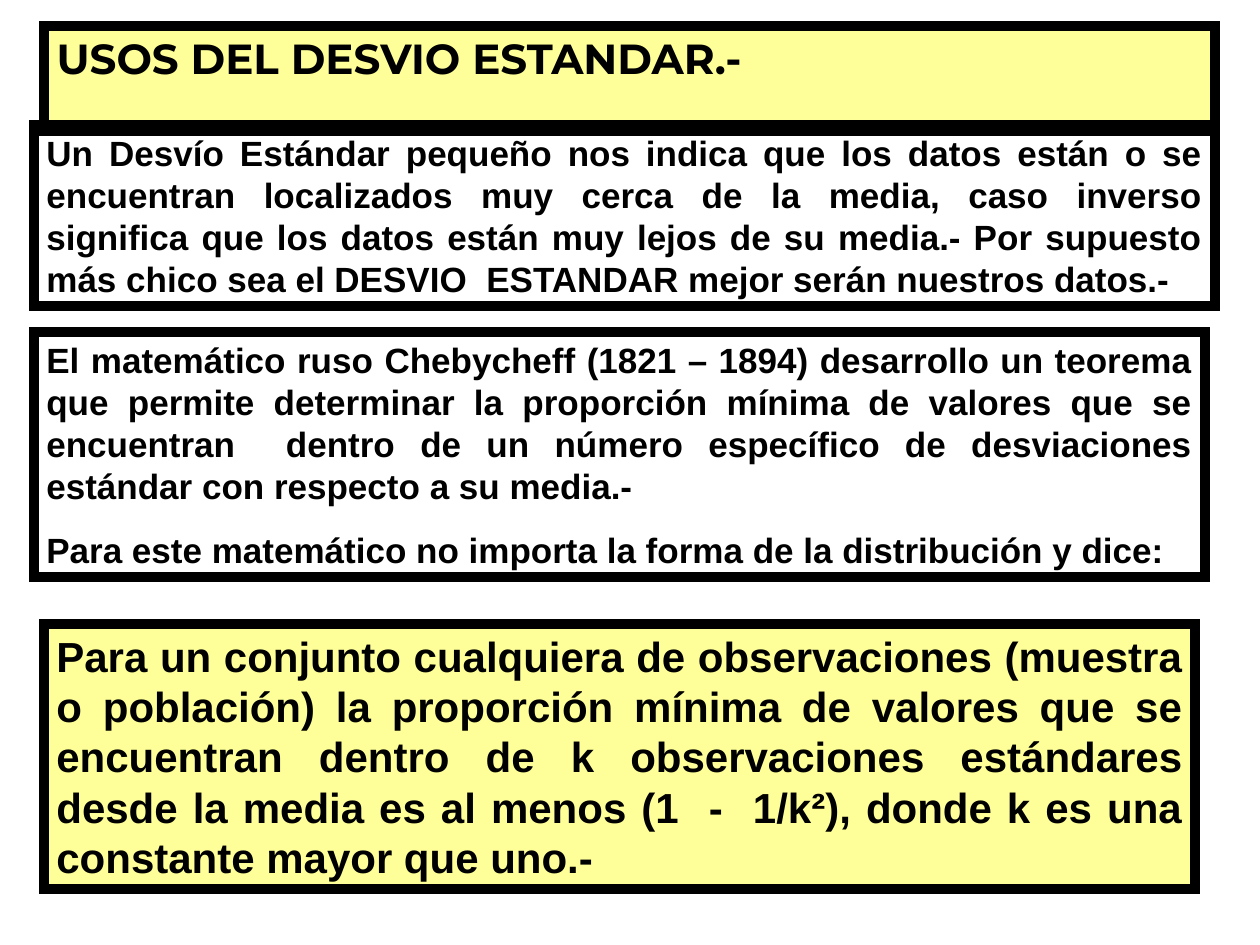
"""Build a slide on the uses of the standard deviation."""
from lxml import etree
from pptx import Presentation
from pptx.dml.color import RGBColor
from pptx.enum import shapes, text
from pptx.oxml.ns import qn
from pptx.util import Emu, Pt

SCALE = 914400 / 126
INK = "000000"
CREAM = "FFFF99"


def px(*nums):
    return [Emu(round(num * SCALE)) for num in nums]


def tint(code):
    return RGBColor.from_string(code)


def write(frame, *paras, size=20, face="Arial", color=INK, gap=12.5):
    frame.word_wrap = True
    frame.vertical_anchor = text.MSO_ANCHOR.TOP
    frame.auto_size = text.MSO_AUTO_SIZE.SHAPE_TO_FIT_TEXT
    for i, words in enumerate(paras):
        para = frame.add_paragraph() if i else frame.paragraphs[0]
        para.alignment = text.PP_ALIGN.JUSTIFY
        para.space_before = Pt(gap if i else 0)
        run = para.add_run()
        run.text = words
        run.font.name = face
        run.font.size = Pt(size)
        run.font.bold = True
        run.font.color.rgb = tint(color)


class Page:
    def __init__(self, deck, line=INK, width=6):
        self.slide = deck.slides.add_slide(deck.slide_layouts[5])
        self.line = line
        self.width = width

    def frame(self, shape, fill):
        if fill:
            shape.fill.solid()
            shape.fill.fore_color.rgb = tint(fill)
        else:
            shape.fill.background()
        shape.line.color.rgb = tint(self.line)
        shape.line.width = Pt(self.width)
        edge = shape.line.fill._xPr
        etree.SubElement(edge, qn("a:miter"), lim="800000")

    def title(self, words, area, fill=None, **style):
        shape = self.slide.shapes.title
        shape.left, shape.top, shape.width, shape.height = px(*area)
        self.frame(shape, fill)
        write(shape.text_frame, words, **style)

    def box(self, paras, area, fill=None, **style):
        shape = self.slide.shapes.add_shape(
            shapes.MSO_SHAPE.RECTANGLE, *px(*area))
        shape.shadow.inherit = False
        self.frame(shape, fill)
        write(shape.text_frame, *paras, **style)


def main():
    deck = Presentation()
    deck.slide_width, deck.slide_height = px(1260, 945)
    page = Page(deck)
    page.title("USOS DEL DESVIO ESTANDAR.-", (44, 26, 1171, 63),
               fill=CREAM, size=24, face="Montserrat")
    page.box([
        "Un Desvío Estándar pequeño nos indica que los datos están o se "
        "encuentran localizados muy cerca de la media, caso inverso "
        "significa que los datos están muy lejos de su media.- Por supuesto "
        "más chico sea el DESVIO  ESTANDAR mejor serán nuestros datos.-",
    ], (34, 125, 1181, 181))
    page.box([
        "El matemático ruso Chebycheff (1821 – 1894) desarrollo un teorema "
        "que permite determinar la proporción mínima de valores que se "
        "encuentran  dentro de un número específico de desviaciones "
        "estándar con respecto a su media.-",
        "Para este matemático no importa la forma de la distribución y dice:",
    ], (34, 332, 1171, 245))
    page.box([
        "Para un conjunto cualquiera de observaciones (muestra o población) "
        "la proporción mínima de valores que se encuentran dentro de k "
        "observaciones estándares desde la media es al menos "
        "(1  -  1/k²), donde k es una constante mayor que uno.-",
    ], (44, 624, 1151, 265), fill=CREAM, size=24)
    deck.save("out.pptx")


if __name__ == "__main__":
    main()
